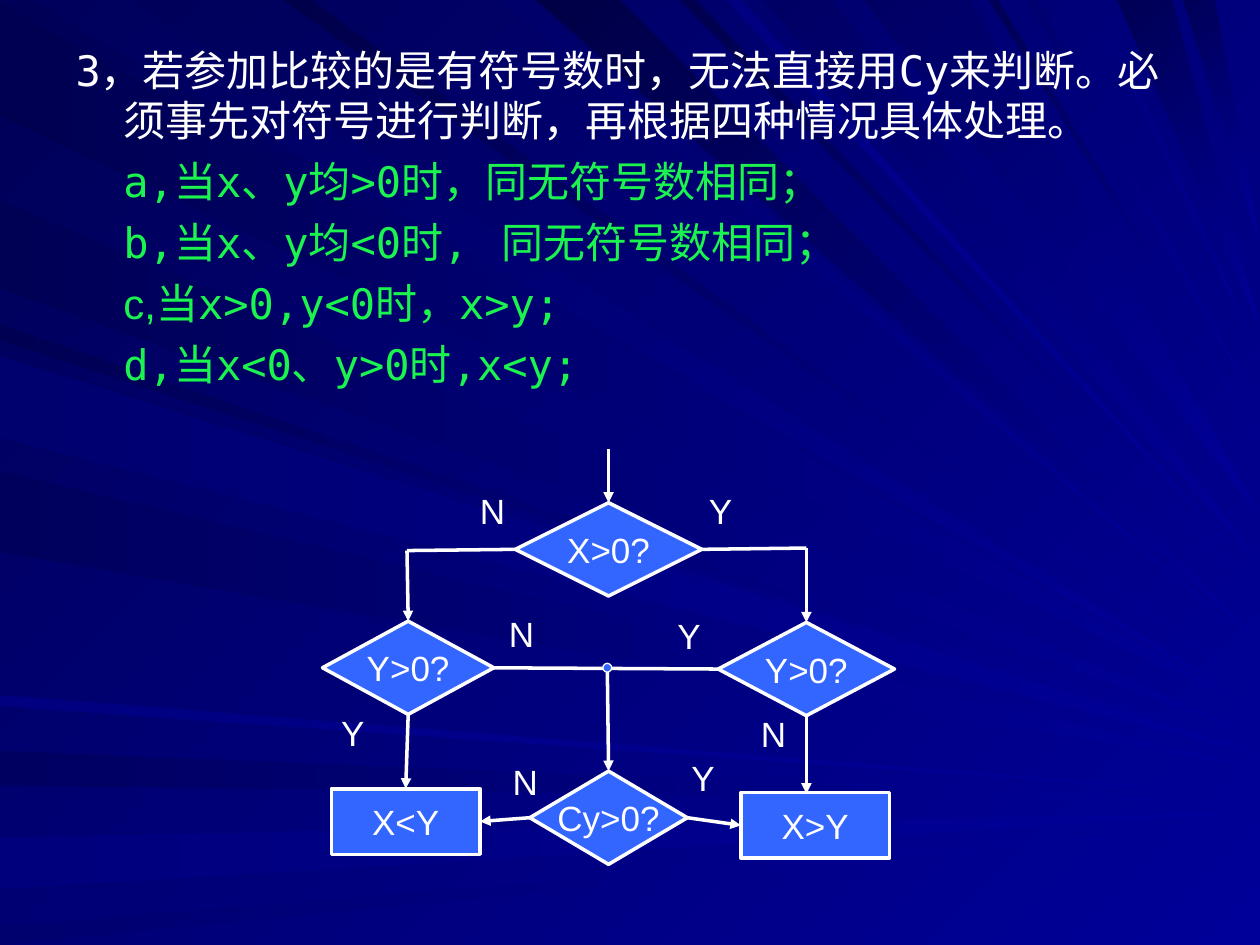
from math import sqrt

from lxml import etree
from pptx import Presentation
from pptx.dml.color import RGBColor
from pptx.enum import shapes, text
from pptx.oxml import ns
from pptx.util import Inches, Pt

WHITE, GREEN, BLUE, NAVY = "FFFFFF", "1BF34E", "3366FF", "000099"
MONO, HAN, SANS = "DejaVu Sans Mono", "Noto Sans CJK SC", "Arial"
WIDTH, HEIGHT = 10, 7.5

LEFT_RAYS = [
    (0.02, 0.9, "000051"), (5.96, 0.27, "000060"), (6.65, 0.4, "00007C"),
    (7.35, 0.15, "00006E"), (2.58, 0.12, "000053"), (1.59, 0.7, "000055"),
    (2.78, 0.64, "000060"), (3.74, 0.64, "00005C"), (5.52, 0.08, "000081"),
    (2.83, 0.64, "00006E"),
]
TOP_RAYS = [
    (0.26, 0.75, "00005C"), (3.98, 0.18, "00006A"), (4.26, 0.66, "000046"),
    (5.4, 0.12, "00004E"), (6.06, 0.55, "000064"), (8.87, 0.43, "000055"),
    (9.39, 0.25, "000059"), (2.25, 0.22, "00004A"), (5.77, 0.11, "000081"),
    (6.86, 0.84, "000064"), (7.85, 0.07, "000057"), (8.15, 0.09, "00006E"),
    (8.65, 0.07, "000078"),
]

STATEMENTS = [
    (WHITE, [("3，", MONO), ("若参加比较的是有符号数", HAN),
             ("时，无法直接用Cy来判断。必须事先对符号进行判断，再根据四种情况具体处理。", MONO)]),
    (GREEN, [("a,当x、y均>0时，同无符号数相同；", MONO)]),
    (GREEN, [("b,当x、y均<0时,\t同无符号数相同；", MONO)]),
    (GREEN, [("c,", SANS), ("当x>0,y<0时，x>y;", MONO)]),
    (GREEN, [("d,当x<0、y>0时,x<y;", MONO)]),
]

DECISION = shapes.MSO_SHAPE.FLOWCHART_DECISION
PROCESS = shapes.MSO_SHAPE.FLOWCHART_PROCESS
NODE_HEIGHTS = {DECISION: 0.74, PROCESS: 0.52}
NODES = {
    "x": (DECISION, "X>0?", 4.83, 4.36, 1.48),
    "y left": (DECISION, "Y>0?", 3.24, 5.3, 1.36),
    "y right": (DECISION, "Y>0?", 6.4, 5.31, 1.4),
    "carry": (DECISION, "Cy>0?", 4.83, 6.49, 1.25),
    "less": (PROCESS, "X<Y", 3.22, 6.52, 1.18),
    "greater": (PROCESS, "X>Y", 6.47, 6.55, 1.18),
}
TOP, LEFT, BOTTOM, RIGHT = range(4)
JUNCTION, ENTRY = (4.82, 5.3), (4.83, 3.56)
LEFT_CORNER, RIGHT_CORNER, GREATER_TOP = (3.23, 4.37), (6.4, 4.35), (6.4, 6.3)
LINKS = [
    (("y left", RIGHT), ("y right", LEFT), False),
    (JUNCTION, ("carry", TOP), True),
    (("x", RIGHT), RIGHT_CORNER, False),
    (("x", LEFT), LEFT_CORNER, False),
    (LEFT_CORNER, ("y left", TOP), True),
    (RIGHT_CORNER, ("y right", TOP), True),
    (("y left", BOTTOM), ("less", TOP), True),
    (("y right", BOTTOM), GREATER_TOP, True),
    (("carry", RIGHT), ("greater", LEFT), True),
    (("carry", LEFT), ("less", RIGHT), True),
    (ENTRY, ("x", TOP), True),
]
ANSWERS = {
    "Y": [(5.72, 4.05), (5.58, 6.17), (5.47, 5.04), (2.8, 5.81)],
    "N": [(3.91, 4.05), (4.14, 5.03), (6.14, 5.82), (4.17, 6.2)],
}


def colour(code):
    return RGBColor.from_string(code)


def paint(fill, first, last=None, angle=0):
    if last is None:
        fill.solid()
        fill.fore_color.rgb = colour(first)
        return
    fill.gradient()
    fill.gradient_angle = angle
    for stop, code in zip(fill.gradient_stops, (first, last)):
        stop.color.rgb = colour(code)


def add_ray(page, corners, dark, angle):
    points = [(Inches(x), Inches(y)) for x, y in corners]
    builder = page.shapes.build_freeform(*points[0])
    builder.add_line_segments(points[1:], close=True)
    ray = builder.convert_to_shape()
    ray.shadow.inherit = False
    paint(ray.fill, NAVY, dark, angle)
    ray.line.fill.background()


def add_rays(page):
    for start, breadth, dark in LEFT_RAYS:
        tip = (WIDTH, 5.65 + 0.12 * start)
        add_ray(page, [(0, start), tip, (0, start + breadth)], dark, 180)
    for start, breadth, dark in TOP_RAYS:
        tip = (WIDTH, 5.63 * sqrt(1 - (start / WIDTH) ** 2))
        add_ray(page, [(start, 0), tip, (start + breadth, 0)], dark, 135)


def add_span(para, words, size, font, code):
    span = para.add_run()
    span.text = words
    span.font.size = Pt(size)
    span.font.name = font
    span.font.color.rgb = colour(code)
    east = etree.SubElement(span.font._element, ns.qn("a:ea"))
    east.set("typeface", font)


def write_statements(box):
    box.left, box.top, box.width, box.height = map(Inches, (0.5, 0.3, 9, 2.86))
    frame = box.text_frame
    frame.auto_size = text.MSO_AUTO_SIZE.NONE
    for index, (code, spans) in enumerate(STATEMENTS):
        para = frame.add_paragraph() if index else frame.paragraphs[0]
        para.space_before = Pt(6)
        props = para._p.get_or_add_pPr()
        props.set("marL", str(Inches(0.38)))
        props.set("indent", str(0 if index else Inches(-0.38)))
        etree.SubElement(props, ns.qn("a:buNone"))
        if any("\t" in words for words, font in spans):
            stops = etree.SubElement(props, ns.qn("a:tabLst"))
            etree.SubElement(stops, ns.qn("a:tab"), pos=str(Inches(4.44)), algn="l")
        for words, font in spans:
            add_span(para, words, 24, font, code)


def write_centred(box, words):
    frame = box.text_frame
    frame.word_wrap = False
    frame.vertical_anchor = text.MSO_ANCHOR.MIDDLE
    frame.margin_left = frame.margin_right = Inches(0.02)
    frame.margin_top = frame.margin_bottom = Inches(0.01)
    para = frame.paragraphs[0]
    para.alignment = text.PP_ALIGN.CENTER
    add_span(para, words, 20, SANS, WHITE)


def centred(x, y, width, height):
    return [Inches(value) for value in (x - width / 2, y - height / 2, width, height)]


def add_node(page, kind, place, weight):
    node = page.shapes.add_shape(kind, *place)
    node.shadow.inherit = False
    paint(node.fill, BLUE)
    node.line.color.rgb = colour(WHITE)
    node.line.width = Pt(weight)
    return node


def add_link(page, nodes, start, end, arrow):
    points = [(0, 0) if tip[0] in nodes else tip for tip in (start, end)]
    link = page.shapes.add_connector(
        shapes.MSO_CONNECTOR.STRAIGHT, *(Inches(value) for point in points for value in point))
    for tip, connect in ((start, link.begin_connect), (end, link.end_connect)):
        if tip[0] in nodes:
            connect(nodes[tip[0]], tip[1])
    link.line.color.rgb = colour(WHITE)
    link.line.width = Pt(2)
    if arrow:
        etree.SubElement(link.line._get_or_add_ln(), ns.qn("a:tailEnd"), type="triangle")
    etree.SubElement(link._element.spPr, ns.qn("a:effectLst"))


def main():
    deck = Presentation()
    deck.slide_width, deck.slide_height = Inches(WIDTH), Inches(HEIGHT)
    page = deck.slides.add_slide(deck.slide_layouts[1])
    title = page.shapes.title.element
    title.getparent().remove(title)
    paint(page.background.fill, NAVY, "000057", 135)
    add_rays(page)
    body = page.placeholders[1]
    page.shapes._spTree.append(body.element)
    write_statements(body)
    nodes = {}
    for name, (kind, words, x, y, width) in NODES.items():
        nodes[name] = add_node(page, kind, centred(x, y, width, NODE_HEIGHTS[kind]), 2)
        write_centred(nodes[name], words)
    for link in LINKS:
        add_link(page, nodes, *link)
    for words, places in ANSWERS.items():
        for x, y in places:
            write_centred(page.shapes.add_textbox(*centred(x, y, 0.54, 0.34)), words)
    add_node(page, shapes.MSO_SHAPE.OVAL, centred(*JUNCTION, 0.07, 0.07), 0.75)
    deck.save("out.pptx")


if __name__ == "__main__":
    main()
